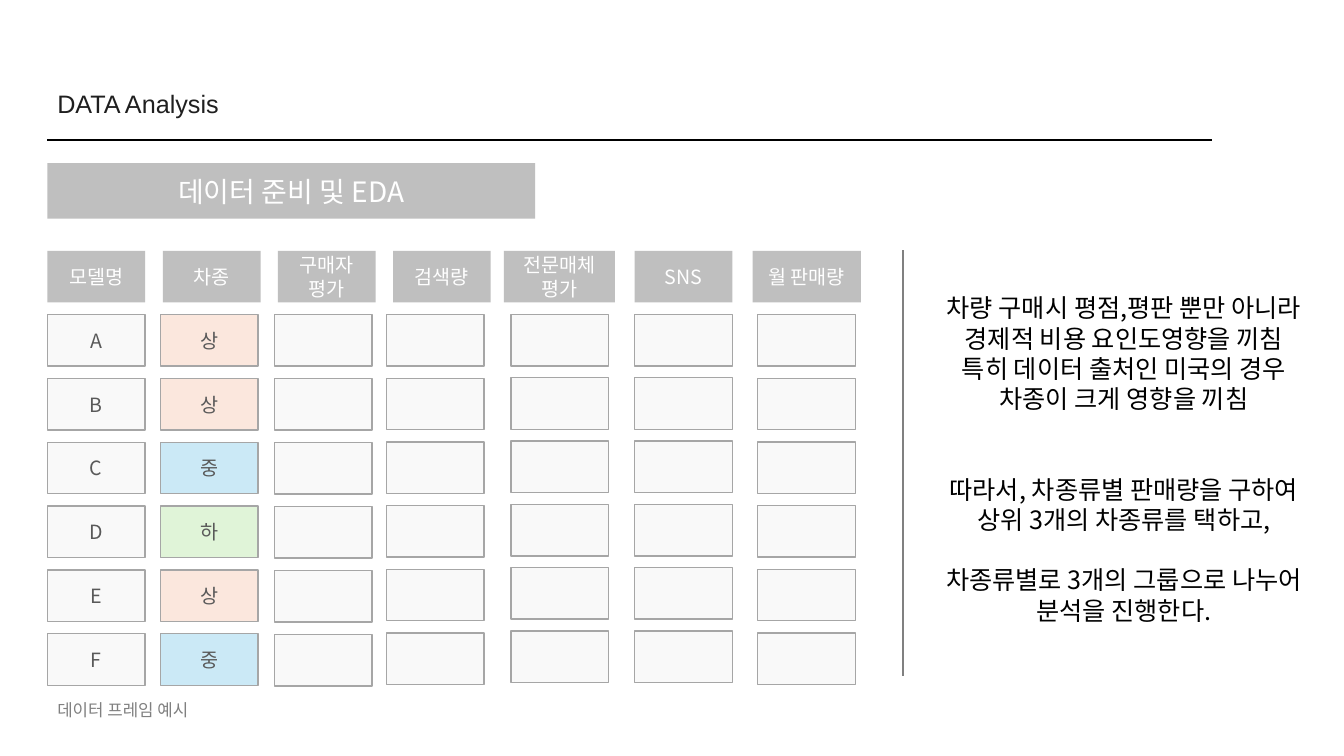
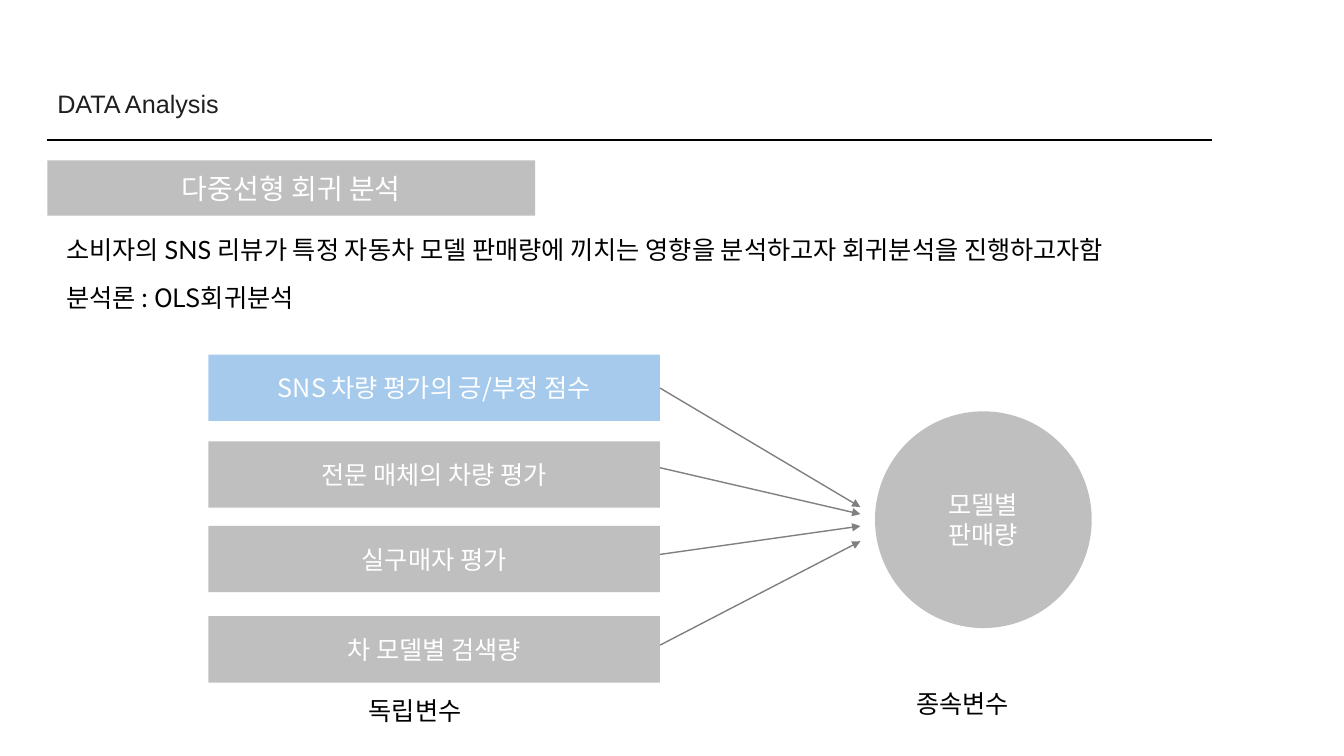
from lxml.etree import SubElement
from pptx import Presentation
from pptx.dml.color import RGBColor
from pptx.enum.shapes import MSO_CONNECTOR, MSO_SHAPE
from pptx.enum.text import MSO_ANCHOR, PP_ALIGN
from pptx.oxml.ns import qn
from pptx.util import Pt

BLACK, WHITE, INK = "000000", "FFFFFF", "1F1F1F"
BAND, RULE, EDGE, BODY = "BFBFBF", "808080", "A6A6A6", "595959"
PLAIN, SKY = "F2F2F2", "A6CAEC"
GRADE_COLORS = {"상": "F6C6AD", "중": "83CBEB", "하": "B4E5A2"}
KOREAN = "Noto Sans CJK KR"
LEFT = 33.84

CELL_WIDTH, CELL_HEIGHT = 69.8, 36.8
HEADER_TOP, FIRST_ROW_TOP = 179.3, 224.7
COLUMNS = [
    ("모델명", LEFT, 69.8, LEFT, 45.6),
    ("차종", 116.4, 69.8, 114.5, 45.6),
    ("구매자\v평가", 198.6, 69.8, 196, 45.7),
    ("검색량", 280.8, 69.8, 276, 45.5),
    ("전문매체\v평가", 360, 79.3, 365, 45.2),
    ("SNS", 453.4, 69.8, 453.4, 45.2),
    ("월 판매량", 537.6, 77.3, 541.2, 45.5),
]
MODELS = [("A", "상"), ("B", "상"), ("C", "중"), ("D", "하"), ("E", "상"), ("F", "중")]
NOTES = [
    ("차량 구매시 평점,평판 뿐만 아니라\v경제적 비용 요인도영향을 끼침", 0),
    ("특히 데이터 출처인 미국의 경우\v차종이 크게 영향을 끼침", 0),
    ("따라서, 차종류별 판매량을 구하여\v상위 3개의 차종류를 택하고,", 43.2),
    ("차종류별로 3개의 그룹으로 나누어\v분석을 진행한다.", 21.6),
]
DRIVERS = [
    ("SNS 차량 평가의 긍/부정 점수", 253.3, SKY, 277.2, 362.2),
    ("전문 매체의 차량 평가", 315.2, BAND, 334.1, 367.2),
    ("실구매자 평가", 375.6, BAND, 396, 375.8),
    ("차 모델별 검색량", 440.2, BAND, 460.8, 386.6),
]
DRIVER_LEFT, DRIVER_WIDTH, DRIVER_HEIGHT = 148.8, 322.7, 47.4
ARROW_END = 614.6


def rgb(value):
    return RGBColor.from_string(value)


def write(box, text, size=18, color=BLACK, font=KOREAN, align=PP_ALIGN.LEFT,
          anchor=MSO_ANCHOR.TOP, gaps=()):
    frame = box.text_frame
    frame.word_wrap = True
    frame.vertical_anchor = anchor
    frame.text = text
    for index, para in enumerate(frame.paragraphs):
        para.alignment = align
        para.line_spacing = Pt(size * 1.2)
        para.space_before = Pt(gaps[index] if gaps else 0)
        for span in para.runs:
            span.font.size = Pt(size)
            span.font.name = font
            span.font.color.rgb = rgb(color)
            SubElement(span.font._element, qn("a:ea"), typeface=KOREAN)


def add_text(page, text, left, top, width, height, **style):
    box = page.shapes.add_textbox(Pt(left), Pt(top), Pt(width), Pt(height))
    write(box, text, **style)


def add_block(page, text, left, top, width, height, fill=BAND, line=None, alpha=None,
              kind=MSO_SHAPE.RECTANGLE, size=14, color=WHITE):
    block = page.shapes.add_shape(kind, Pt(left), Pt(top), Pt(width), Pt(height))
    block.shadow.inherit = False
    block.fill.solid()
    block.fill.fore_color.rgb = rgb(fill)
    if alpha:
        tint = block._element.spPr.find(qn("a:solidFill")).find(qn("a:srgbClr"))
        SubElement(tint, qn("a:alpha"), val=str(alpha * 1000))
    if line:
        block.line.color.rgb = rgb(line)
        block.line.width = Pt(1)
    else:
        block.line.fill.background()
    if text:
        write(block, text, size=size, color=color, align=PP_ALIGN.CENTER,
              anchor=MSO_ANCHOR.MIDDLE)


def add_line(page, start, end, color, width, arrow=False):
    line = page.shapes.add_connector(MSO_CONNECTOR.STRAIGHT, *map(Pt, start + end))
    line.line.color.rgb = rgb(color)
    line.line.width = Pt(width)
    if arrow:
        SubElement(line.line._get_or_add_ln(), qn("a:tailEnd"), type="triangle")
    SubElement(line._element.spPr, qn("a:effectLst"))


def add_page(deck, heading, heading_top):
    page = deck.slides.add_slide(deck.slide_layouts[6])
    add_line(page, (LEFT, 100), (865.4, 100), BLACK, 1.5)
    add_text(page, "DATA Analysis", LEFT, 59.8, 480, 29, color=INK, font="Arial")
    add_block(page, heading, LEFT, heading_top, 348.5, 39.6, size=20)
    return page


def build_data_page(deck):
    page = add_page(deck, "데이터 준비 및 EDA", 116.6)
    add_line(page, (645, 178.6), (645, 483), RULE, 0.75)
    for column, (label, header_left, header_width, left, pitch) in enumerate(COLUMNS):
        add_block(page, label, header_left, HEADER_TOP, header_width, CELL_HEIGHT)
        for row, model in enumerate(MODELS):
            text = model[column] if column < len(model) else ""
            add_block(page, text, left, FIRST_ROW_TOP + row * pitch, CELL_WIDTH,
                      CELL_HEIGHT, fill=GRADE_COLORS.get(text, PLAIN), line=EDGE,
                      alpha=41, color=BODY)
    notes, gaps = zip(*NOTES)
    add_text(page, "\n".join(notes), 654.5, 205.5, 296.6, 247,
             align=PP_ALIGN.CENTER, gaps=gaps)
    add_text(page, "데이터 프레임 예시", LEFT, 496.5, 255.6, 21.6, size=12, color=RULE)


def build_regression_page(deck):
    page = add_page(deck, "다중선형 회귀 분석", 114.5)
    add_text(page, "소비자의 SNS 리뷰가 특정 자동차 모델 판매량에 끼치는 영향을 "
             "분석하고자 회귀분석을 진행하고자함", 40.3, 163.5, 864.7, 29, font="Lato")
    add_text(page, "분석론 : OLS회귀분석", 40.3, 198, 256.3, 29)
    add_block(page, "모델별\v판매량", 625, 293.8, 154.8, 154.8,
              kind=MSO_SHAPE.OVAL, size=18)
    for text, top, fill, start, end in DRIVERS:
        add_block(page, text, DRIVER_LEFT, top, DRIVER_WIDTH, DRIVER_HEIGHT,
                  fill=fill, size=18)
        add_line(page, (DRIVER_LEFT + DRIVER_WIDTH, start), (ARROW_END, end),
                 RULE, 1, arrow=True)
    for text, left, top in [("종속변수", 647.3, 488.2), ("독립변수", 256.3, 493.2)]:
        add_text(page, text, left, top, 132.5, 29)


def main():
    deck = Presentation()
    deck.slide_width, deck.slide_height = Pt(960), Pt(540)
    build_data_page(deck)
    build_regression_page(deck)
    deck.save("out.pptx")


if __name__ == "__main__":
    main()
